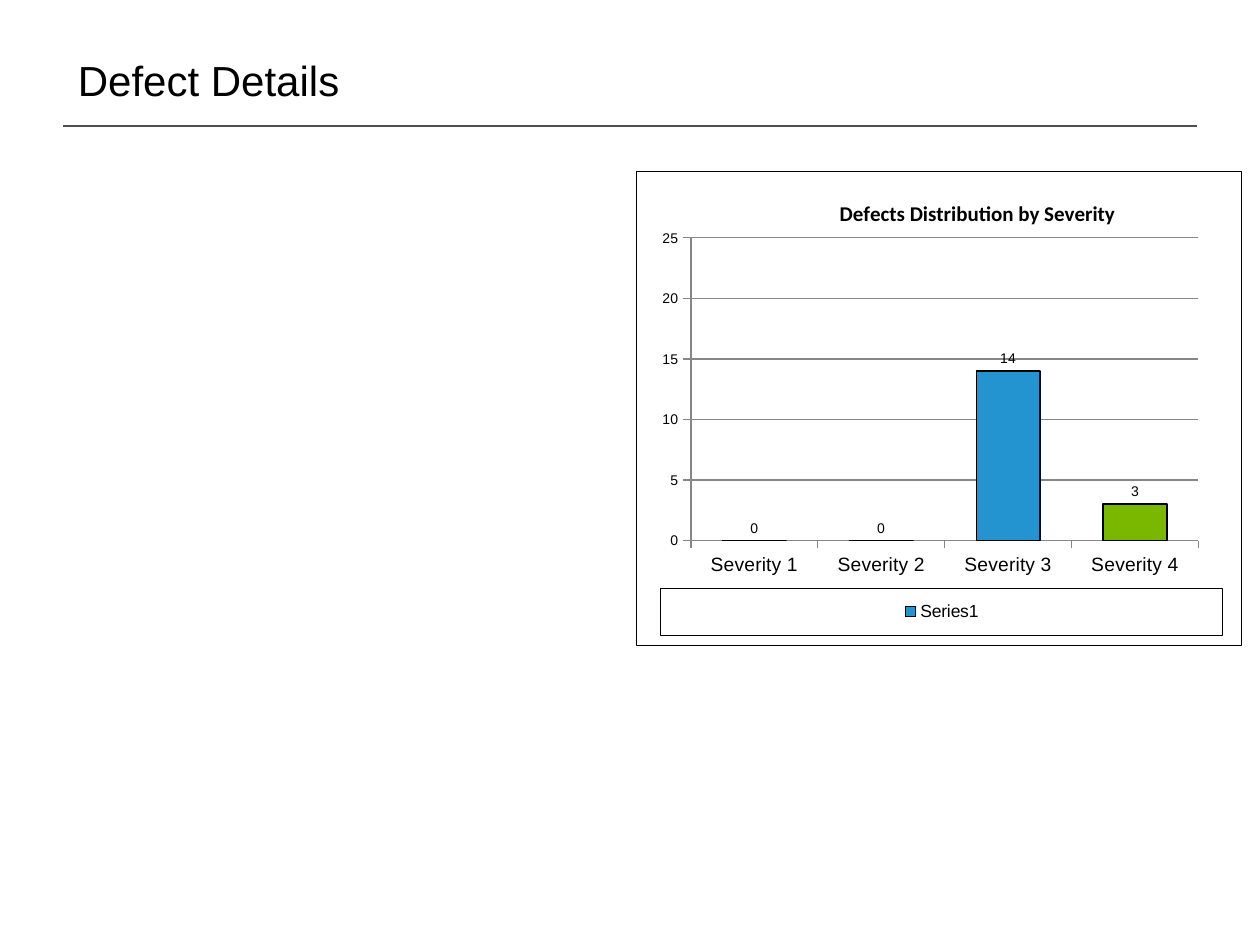
from dataclasses import dataclass

import pptx
import pptx.chart.data
import pptx.dml.color
import pptx.enum.chart
import pptx.enum.text
import pptx.oxml
import pptx.oxml.ns
import pptx.util


@dataclass(frozen=True)
class Theme:
    text: str = "000000"
    rule: str = "4D4F53"
    grid: str = "868686"
    paper: str = "FFFFFF"
    bar: str = "2394CF"
    highlight: str = "7AB800"
    font: str = "Arial"
    chart_title_font: str = "Calibri"
    heading_size: int = 24
    chart_title_size: int = 12
    category_size: int = 11
    legend_size: int = 10
    chart_size: int = 8


THEME = Theme()
DEFECTS = {"Severity 1": 0, "Severity 2": 0, "Severity 3": 14, "Severity 4": 3}


def color(value):
    return pptx.dml.color.RGBColor.from_string(value)


def style_font(font, size, name=THEME.font, bold=False):
    font.size = pptx.util.Pt(size)
    font.name = name
    font.bold = bold
    font.color.rgb = color(THEME.text)


def style_line(line, value, width):
    line.color.rgb = color(value)
    line.width = pptx.util.Pt(width)


def chart_element(markup):
    namespaces = pptx.oxml.ns.nsdecls("c", "a")
    return pptx.oxml.parse_xml(markup.replace(">", f" {namespaces}>", 1))


def set_layout(parent, position, x, y, width=None, height=None, inner=False):
    """Place a chart part by shares of the chart's size."""
    for layout in parent.findall(pptx.oxml.ns.qn("c:layout")):
        parent.remove(layout)
    target = '<c:layoutTarget val="inner"/>' if inner else ""
    sizes = "" if width is None else f'<c:w val="{width}"/><c:h val="{height}"/>'
    parent.insert(position, chart_element(
        f'<c:layout><c:manualLayout>{target}<c:xMode val="edge"/><c:yMode val="edge"/>'
        f'<c:x val="{x}"/><c:y val="{y}"/>{sizes}</c:manualLayout></c:layout>'))


def frame_properties():
    return chart_element(
        f'<c:spPr><a:solidFill><a:srgbClr val="{THEME.paper}"/></a:solidFill>'
        f'<a:ln w="3175"><a:solidFill><a:srgbClr val="{THEME.text}"/></a:solidFill></a:ln></c:spPr>')


def add_heading(slide, left, top, width, height):
    box = slide.shapes.add_textbox(left, top, width, height)
    frame = box.text_frame
    frame.word_wrap = False
    frame.auto_size = pptx.enum.text.MSO_AUTO_SIZE.SHAPE_TO_FIT_TEXT
    paragraph = frame.paragraphs[0]
    paragraph.text = "Defect Details"
    style_font(paragraph.font, THEME.heading_size)


def add_rule(slide, left, top, width):
    rule = slide.shapes.add_connector(
        pptx.enum.shapes.MSO_CONNECTOR.STRAIGHT, left, top, left + width, top)
    style_line(rule.line, THEME.rule, 0.75)
    rule._element.spPr.append(chart_element("<a:effectLst></a:effectLst>"))


def style_title(chart):
    chart.has_title = True
    paragraph = chart.chart_title.text_frame.paragraphs[0]
    paragraph.text = "Defects Distribution by Severity"
    style_font(paragraph.font, THEME.chart_title_size, THEME.chart_title_font, bold=True)
    set_layout(chart.chart_title._element, 1, 0.33, 0.05)


def style_axes(chart):
    for axis, size in ((chart.category_axis, THEME.category_size),
                       (chart.value_axis, THEME.chart_size)):
        style_font(axis.tick_labels.font, size)
        style_line(axis.format.line, THEME.grid, 0.75)
        axis.major_tick_mark = pptx.enum.chart.XL_TICK_MARK.OUTSIDE
        axis.minor_tick_mark = pptx.enum.chart.XL_TICK_MARK.NONE
    chart.value_axis.minimum_scale = 0
    chart.value_axis.maximum_scale = 25
    chart.value_axis.major_unit = 5
    style_line(chart.value_axis.major_gridlines.format.line, THEME.grid, 0.75)


def style_bars(chart):
    plot = chart.plots[0]
    plot.gap_width = 100
    plot.vary_by_categories = False
    series = plot.series[0]
    highlight = series.points[len(DEFECTS) - 1]
    for part, fill in ((series, THEME.bar), (highlight, THEME.highlight)):
        part.format.fill.solid()
        part.format.fill.fore_color.rgb = color(fill)
        style_line(part.format.line, THEME.text, 1)
    labels = series.data_labels
    labels.show_value = True
    labels.number_format = "#,##0"
    labels.number_format_is_linked = False
    labels.position = pptx.enum.chart.XL_LABEL_POSITION.OUTSIDE_END
    style_font(labels.font, THEME.chart_size)


def style_legend(chart):
    chart.has_legend = True
    legend = chart.legend
    legend.position = pptx.enum.chart.XL_LEGEND_POSITION.RIGHT
    legend.include_in_layout = False
    style_font(legend.font, THEME.legend_size)
    set_layout(legend._element, 1, 0.04, 0.88, 0.93, 0.1)
    legend.font._element.getparent().getparent().getparent().addprevious(frame_properties())


def add_severity_chart(slide, left, top, width, height):
    data = pptx.chart.data.CategoryChartData()
    data.categories = list(DEFECTS)
    data.add_series("Series1", list(DEFECTS.values()))
    chart = slide.shapes.add_chart(
        pptx.enum.chart.XL_CHART_TYPE.COLUMN_CLUSTERED, left, top, width, height, data).chart
    style_font(chart.font, THEME.chart_size)
    style_title(chart)
    style_axes(chart)
    style_bars(chart)
    style_legend(chart)
    chart_space = chart._chartSpace
    set_layout(chart_space.chart.plotArea, 0, 0.09, 0.14, 0.84, 0.64, inner=True)
    chart_space.chart.addnext(frame_properties())


def main():
    presentation = pptx.Presentation()
    presentation.slide_width = pptx.util.Inches(10)
    presentation.slide_height = pptx.util.Inches(7.5)
    slide = presentation.slides.add_slide(presentation.slide_layouts[6])
    inches = pptx.util.Inches
    add_rule(slide, inches(0.5), inches(1), inches(9))
    add_severity_chart(slide, inches(5.05), inches(1.36), inches(4.8), inches(3.76))
    add_heading(slide, inches(0.52), inches(0.38), inches(2.3), inches(0.5))
    presentation.save("out.pptx")


if __name__ == "__main__":
    main()
